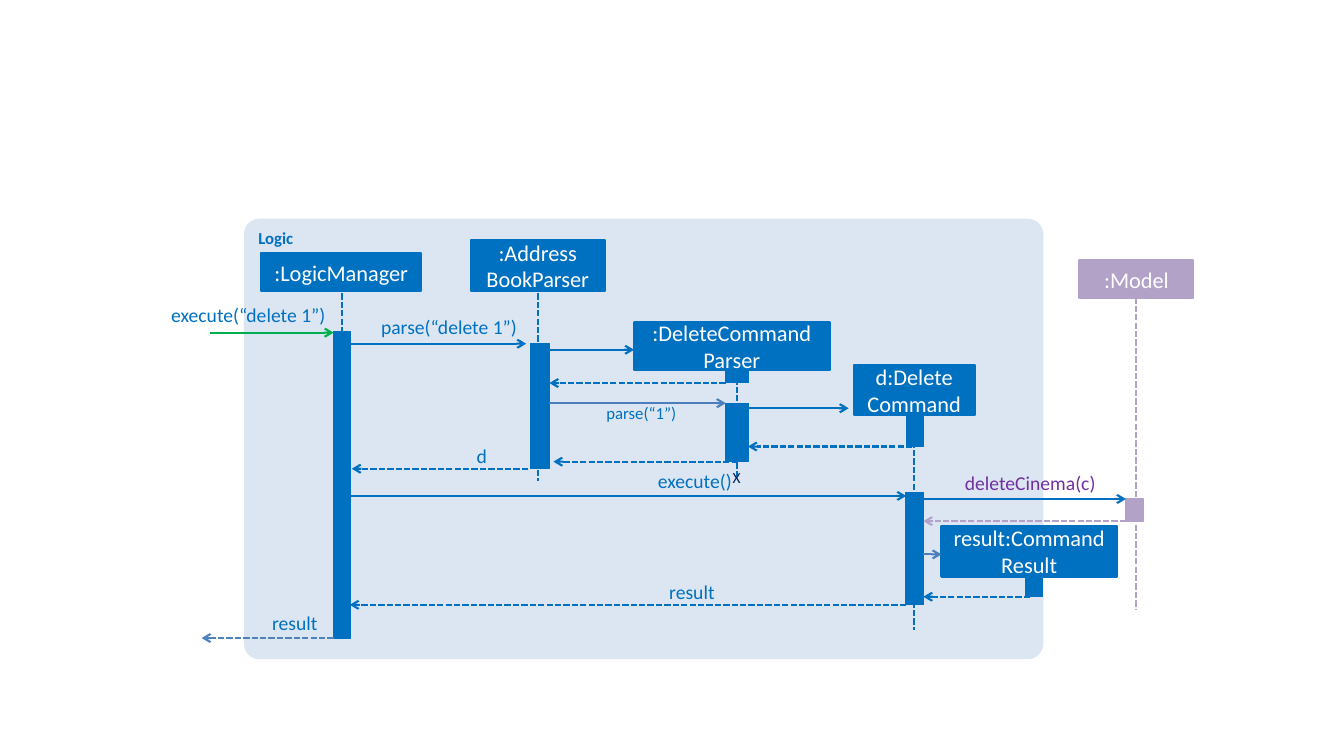
import dataclasses

import pptx
import pptx.dml.color
import pptx.enum.dml
import pptx.enum.shapes
import pptx.enum.text
import pptx.oxml.xmlchemy
import pptx.util
from lxml import etree
from pptx.oxml.ns import qn

# Grid: every length below counts columns or rows of a tenth of an inch
CELL = pptx.util.Inches(0.1)
FONT = "Calibri"
BLUE, STEEL, GREEN, LILAC, PURPLE = "0070C0", "4B7EBC", "00B050", "B3A2C7", "7030A0"
PALE, WHITE, NAVY = "DCE6F2", "FFFFFF", "002060"
RECTANGLE = pptx.enum.shapes.MSO_SHAPE.RECTANGLE
ALIGN = pptx.enum.text.PP_ALIGN
ANCHOR = pptx.enum.text.MSO_ANCHOR

# Columns of the bar edges where messages start and end
MANAGER_LEFT, MANAGER_RIGHT = 33.1, 34.7
PARSER_RIGHT, DELETE_LEFT, DELETE_RIGHT = 54.5, 72, 74.2
COMMAND_LEFT, COMMAND_RIGHT, MODEL_LEFT = 89.9, 91.6, 111.7


@dataclasses.dataclass
class Bar:
    left: float
    top: float
    width: float
    height: float


@dataclasses.dataclass
class Participant:
    text: str
    left: float
    top: float
    width: float
    height: float
    bars: list[Bar]
    lifeline: tuple[float, float, float] | None = None  # column, first row, last row
    color: str = BLUE


@dataclasses.dataclass
class Message:
    row: float
    start: float
    end: float
    dashed: bool = False
    color: str = BLUE


@dataclasses.dataclass
class Label:
    text: str
    right: float
    top: float
    width: float
    size: int = 14
    color: str = BLUE


PARTICIPANTS = [
    Participant(":LogicManager", 25.9, 25.1, 15.9, 3.8,
                [Bar(33.1, 32.9, 1.7, 30.4)], (33.9, 29.1, 57.5)),
    Participant(":Address\nBookParser", 46.7, 23.8, 13.3, 5.1,
                [Bar(52.6, 34.1, 1.9, 12.4)], (53.4, 29.1, 47.7)),
    Participant(":DeleteCommand\nParser", 62.9, 32, 19.4, 4.7,
                [Bar(72, 36.7, 2.3, 1.3), Bar(72, 40, 2.3, 5.8)], (73.1, 36.7, 47.5)),
    Participant("d:Delete\vCommand", 84.7, 36.2, 12, 5,
                [Bar(89.9, 41.3, 1.7, 3), Bar(89.8, 48.9, 1.8, 11.1)], (90.7, 41.3, 62.5)),
    Participant(":Model", 107.1, 25.8, 11.3, 3.8,
                [Bar(111.7, 49.5, 1.7, 2.2)], (112.7, 29.5, 60.5), LILAC),
    Participant("result:Command Result", 93.4, 52.2, 17.4, 5,
                [Bar(101.7, 57.3, 1.7, 1.9)]),
]

MESSAGES = [
    Message(33, 20.8, MANAGER_LEFT, color=GREEN),
    Message(34.1, MANAGER_RIGHT, 52.2),
    Message(34.7, PARSER_RIGHT, 62.9),
    Message(38, DELETE_LEFT, PARSER_RIGHT, True),
    Message(40, PARSER_RIGHT, DELETE_LEFT, color=STEEL),
    Message(40.5, DELETE_RIGHT, 84.2),
    Message(44.3, 90.5, DELETE_RIGHT, True),
    Message(45.8, 73.2, 54.9, True),
    Message(46.5, 52.4, 34.9, True),
    Message(49.2, MANAGER_RIGHT, COMMAND_LEFT),
    Message(49.5, COMMAND_RIGHT, MODEL_LEFT),
    Message(51.7, MODEL_LEFT, COMMAND_RIGHT, True, LILAC),
    Message(55, COMMAND_RIGHT, 93.4, color=STEEL),
    Message(59.2, 102.2, COMMAND_RIGHT, True),
    Message(60, COMMAND_LEFT, MANAGER_RIGHT, True),
    Message(63.3, MANAGER_LEFT, 20, True, "4F81BD"),
]

LABELS = [
    Label("execute(“delete 1”)", 32.3, 30, 15.6),
    Label("parse(“delete 1”)", 51.3, 31.2, 15.6),
    Label("parse(“1”)", 67.1, 40, 8.4, 12),
    Label("d", 48.3, 44, 2.4),
    Label("execute()", 72.6, 46.5, 9.4),
    Label("deleteCinema(c)", 108.7, 46.7, 15.6, color=PURPLE),
    Label("result", 70.9, 57.5, 6.8),
    Label("result", 31.5, 60.6, 8.3),
]


def cells(*counts: float) -> list[int]:
    return [round(count * CELL) for count in counts]


def rgb(color: str) -> pptx.dml.color.RGBColor:
    return pptx.dml.color.RGBColor.from_string(color)


def write(shape, text: str, size: int, color: str, align, bold: bool = False) -> None:
    shape.text_frame.text = text
    for para in shape.text_frame.paragraphs:
        para.alignment = align
        for span in para.runs:
            span.font.name, span.font.size = FONT, pptx.util.Pt(size)
            span.font.bold, span.font.color.rgb = bold, rgb(color)


def add_block(page, kind, place: tuple, color: str, outline: float):
    block = page.shapes.add_shape(kind, *cells(*place))
    block.shadow.inherit = False
    block.fill.solid()
    block.fill.fore_color.rgb = rgb(color)
    if outline:
        block.line.color.rgb = rgb(color)
        block.line.width = pptx.util.Pt(outline)
    else:
        block.line.fill.background()
    return block


def add_line(page, start: tuple, end: tuple, color: str, dashed: bool, arrow: bool) -> None:
    line = page.shapes.add_connector(
        pptx.enum.shapes.MSO_CONNECTOR.STRAIGHT, *cells(*start, *end))
    line.line.color.rgb = rgb(color)
    line.line.width = pptx.util.Pt(1.5)
    if dashed:
        line.line.dash_style = pptx.enum.dml.MSO_LINE.SQUARE_DOT
    if arrow:
        etree.SubElement(line.line._get_or_add_ln(), qn("a:tailEnd"), type="arrow")
    etree.SubElement(line._element.spPr, qn("a:effectLst"))


def add_participant(page, item: Participant) -> None:
    if item.lifeline:
        column, first, last = item.lifeline
        add_line(page, (column, first), (column, last), item.color, True, False)
    for bar in item.bars:
        add_block(page, RECTANGLE, dataclasses.astuple(bar), item.color, 0.75)
    box = add_block(page, RECTANGLE, (item.left, item.top, item.width, item.height),
                    item.color, 1.5)
    box.text_frame.word_wrap = True
    box.text_frame.vertical_anchor = ANCHOR.MIDDLE
    write(box, item.text, 16, WHITE, ALIGN.CENTER)


def add_label(page, label: Label) -> None:
    box = page.shapes.add_textbox(*cells(
        label.right - label.width, label.top, label.width, label.size / 6))
    frame = box.text_frame
    frame.margin_left = frame.margin_right = frame.margin_top = frame.margin_bottom = 0
    frame.word_wrap = True
    write(box, label.text, label.size, label.color, ALIGN.RIGHT)


deck = pptx.Presentation()
deck.slide_width, deck.slide_height = cells(133.33, 75)
page = deck.slides.add_slide(deck.slide_layouts[6])

# Logic component frame
logic = add_block(page, pptx.enum.shapes.MSO_SHAPE.ROUNDED_RECTANGLE,
                  (24.2, 21.7, 79.3, 43.7), PALE, 0)
logic.adjustments[0] = 0.035
logic.text_frame.vertical_anchor = ANCHOR.TOP
write(logic, "Logic", 12, BLUE, ALIGN.LEFT, bold=True)

# Participants with lifelines and activation bars
for participant in PARTICIPANTS:
    add_participant(page, participant)

# Calls and replies
for message in MESSAGES:
    add_line(page, (message.start, message.row), (message.end, message.row),
             message.color, message.dashed, True)

# Message names
for name in LABELS:
    add_label(page, name)

# End of the parser's life
cross = page.shapes.add_textbox(*cells(71.7, 45.9, 2.8, 2.9))
cross.text_frame.word_wrap = False
write(cross, "X", 11, NAVY, ALIGN.LEFT)

deck.save("out.pptx")
